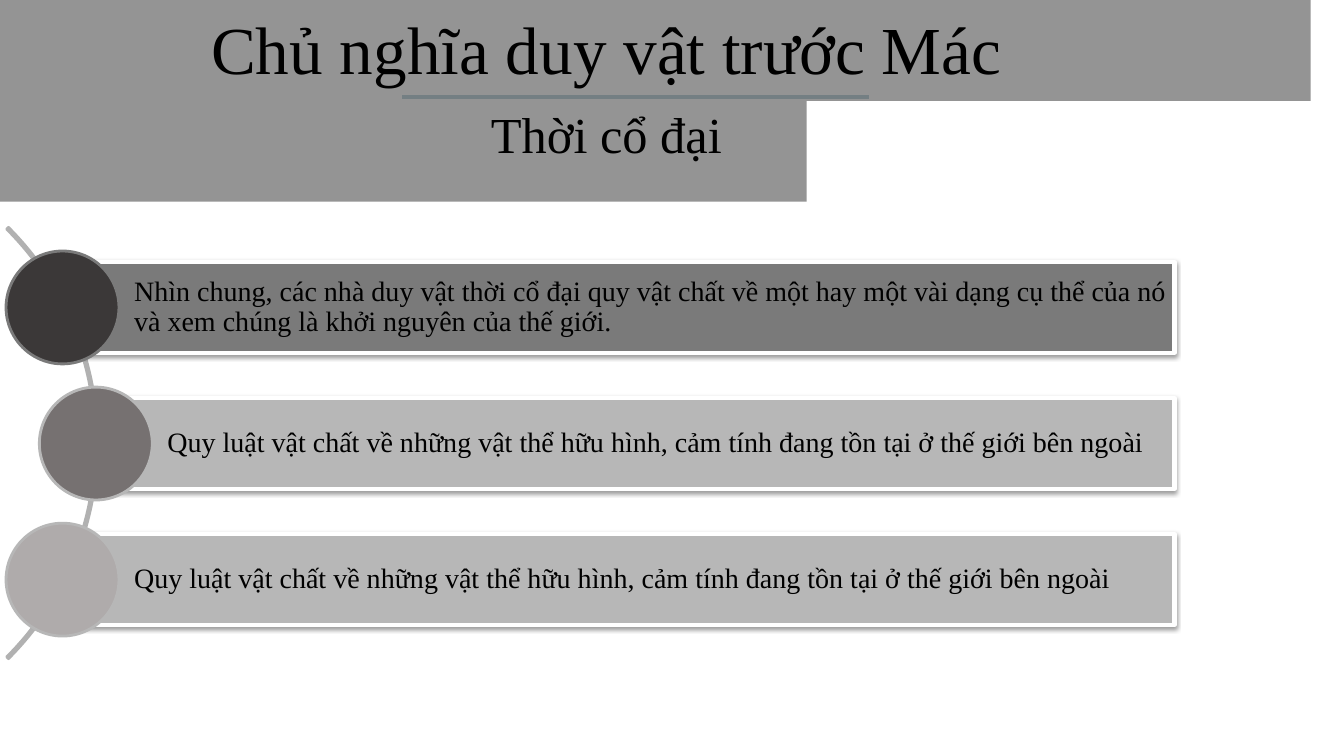
from dataclasses import dataclass

import pptx
import pptx.dml.color
import pptx.enum.shapes
import pptx.enum.text
import pptx.oxml
import pptx.oxml.ns
import pptx.shapes.autoshape
import pptx.slide
import pptx.text.text
import pptx.util

Inches = pptx.util.Inches
Pt = pptx.util.Pt
RGB = pptx.dml.color.RGBColor
Shape = pptx.shapes.autoshape.Shape
Kind = pptx.enum.shapes.MSO_SHAPE
Align = pptx.enum.text.PP_ALIGN
Point = tuple[float, float]

FONT = "Times New Roman"
BLACK = RGB(0x00, 0x00, 0x00)
WHITE = RGB(0xFF, 0xFF, 0xFF)
WAVE = RGB(0x94, 0x94, 0x94)
RULE = RGB(0x74, 0x7F, 0x83)
ARC = RGB(0xB1, 0xB1, 0xB1)
DARK = RGB(0x7A, 0x7A, 0x7A)
LIGHT = RGB(0xB7, 0xB7, 0xB7)
COAL = RGB(0x3B, 0x38, 0x38)
STONE = RGB(0x76, 0x71, 0x71)
ASH = RGB(0xAF, 0xAB, 0xAB)

BAR_TOP, BAR_STEP, BAR_HIGH, BAR_RIGHT = 2.6, 1.35, 0.9, 11.65
DOT = 1.12


@dataclass
class Header:
    text: str
    top: float
    high: float
    size: int


@dataclass
class Item:
    text: str
    left: float
    fill: RGB
    dot: RGB


MATTER = "Quy luật vật chất về những vật thể hữu hình, cảm tính đang tồn tại ở thế giới bên ngoài"
HEADERS = [
    Header("Chủ nghĩa duy vật trước Mác", 0.02, 0.91, 48),
    Header("Thời cổ đại", 0.97, 0.71, 36),
]
ITEMS = [
    Item("Nhìn chung, các nhà duy vật thời cổ đại quy vật chất về một hay một vài dạng "
         "cụ thể của nó và xem chúng là khởi nguyên của thế giới.", 0.62, DARK, COAL),
    Item(MATTER, 0.95, LIGHT, STONE),
    Item(MATTER, 0.62, LIGHT, ASH),
]


def curve(a: Point, b: Point, c: Point, d: Point, steps: int = 40) -> list[Point]:
    """Points along a cubic Bezier curve, without its start."""
    points = []
    for i in range(1, steps + 1):
        t = i / steps
        u = 1 - t
        mix = (u**3, 3 * u * u * t, 3 * u * t * t, t**3)
        points.append((sum(m * p[0] for m, p in zip(mix, (a, b, c, d))),
                       sum(m * p[1] for m, p in zip(mix, (a, b, c, d)))))
    return points


def add_wave(slide: pptx.slide.Slide) -> None:
    start, low, mid, end = (-0.02, -0.03), (-0.02, 2.1), (8.87, 1.25), (13.31, 1.25)
    edge = [low, *curve(low, low, (7.38, 2.03), mid),
            *curve(mid, (10.37, 0.46), end, end), (13.31, -0.03)]
    pen = slide.shapes.build_freeform(*start, scale=Inches(1))
    pen.add_line_segments(edge, close=True)
    wave = pen.convert_to_shape()
    wave.shadow.inherit = False
    wave.fill.solid()
    wave.fill.fore_color.rgb = WAVE
    wave.line.fill.background()


def style(para: pptx.text.text._Paragraph, text: str, size: int, align: Align) -> None:
    para.text = text
    para.alignment = align
    for run in para.runs:
        run.font.name = FONT
        run.font.size = Pt(size)
        run.font.color.rgb = BLACK


def add_header(slide: pptx.slide.Slide, head: Header) -> None:
    box = slide.shapes.add_textbox(Inches(1.91), Inches(head.top), Inches(8.21), Inches(head.high))
    frame = box.text_frame
    frame.word_wrap = True
    frame.auto_size = pptx.enum.text.MSO_AUTO_SIZE.SHAPE_TO_FIT_TEXT
    style(frame.paragraphs[0], head.text, head.size, Align.CENTER)


def add_rule(slide: pptx.slide.Slide) -> None:
    rule = slide.shapes.add_connector(pptx.enum.shapes.MSO_CONNECTOR.STRAIGHT,
                                      Inches(3.99), Inches(0.96), Inches(8.62), Inches(0.96))
    rule.line.color.rgb = RULE
    rule.line.width = Pt(3)
    rule._element.spPr.append(pptx.oxml.parse_xml(
        f"<a:effectLst {pptx.oxml.ns.nsdecls('a')}/>"))


def add_shape(slide: pptx.slide.Slide, kind: Kind, left: float, top: float, wide: float,
              high: float, fill: RGB | None, line: RGB, width: float) -> Shape:
    shape = slide.shapes.add_shape(kind, Inches(left), Inches(top), Inches(wide), Inches(high))
    if fill is None:
        shape.fill.background()
    else:
        shape.fill.solid()
        shape.fill.fore_color.rgb = fill
    shape.line.color.rgb = line
    shape.line.width = Pt(width)
    shape.shadow.inherit = False
    return shape


def add_shadow(shape: Shape) -> None:
    effect = shape._element.spPr.find(pptx.oxml.ns.qn("a:effectLst"))
    effect.append(pptx.oxml.parse_xml(
        f"<a:outerShdw {pptx.oxml.ns.nsdecls('a')} blurRad='{Pt(3.1)}' dist='{Pt(1.6)}' "
        "dir='5400000' rotWithShape='0'><a:srgbClr val='000000'><a:alpha val='38000'/>"
        "</a:srgbClr></a:outerShdw>"))


def add_item(slide: pptx.slide.Slide, item: Item, top: float) -> None:
    bar = add_shape(slide, Kind.RECTANGLE, item.left, top, BAR_RIGHT - item.left, BAR_HIGH,
                    item.fill, WHITE, 3)
    add_shadow(bar)
    frame = bar.text_frame
    frame.word_wrap = True
    frame.vertical_anchor = pptx.enum.text.MSO_ANCHOR.MIDDLE
    frame.margin_left = Inches(0.71)
    frame.margin_right = frame.margin_top = frame.margin_bottom = Inches(0.06)
    style(frame.paragraphs[0], item.text, 20, Align.LEFT)
    frame.paragraphs[0].line_spacing = 0.9
    # The dot is centred on the bar's left end
    add_shape(slide, Kind.OVAL, item.left - DOT / 2, top + (BAR_HIGH - DOT) / 2, DOT, DOT,
              item.dot, item.fill, 2)


def main() -> None:
    deck = pptx.Presentation()
    deck.slide_width, deck.slide_height = Inches(13.33), Inches(7.5)
    slide = deck.slides.add_slide(deck.slide_layouts[6])

    # Heading on the wave
    add_wave(slide)
    for head in HEADERS:
        add_header(slide, head)
    add_rule(slide)

    # Arc behind the list
    arc = add_shape(slide, Kind.BLOCK_ARC, -5.08, 1.37, 6.05, 6.05, None, ARC, 2)
    for i, value in enumerate((189, 27, 0.004)):
        arc.adjustments[i] = value

    # List of bars with dots
    for i, item in enumerate(ITEMS):
        add_item(slide, item, BAR_TOP + i * BAR_STEP)

    deck.save("out.pptx")


if __name__ == "__main__":
    main()
